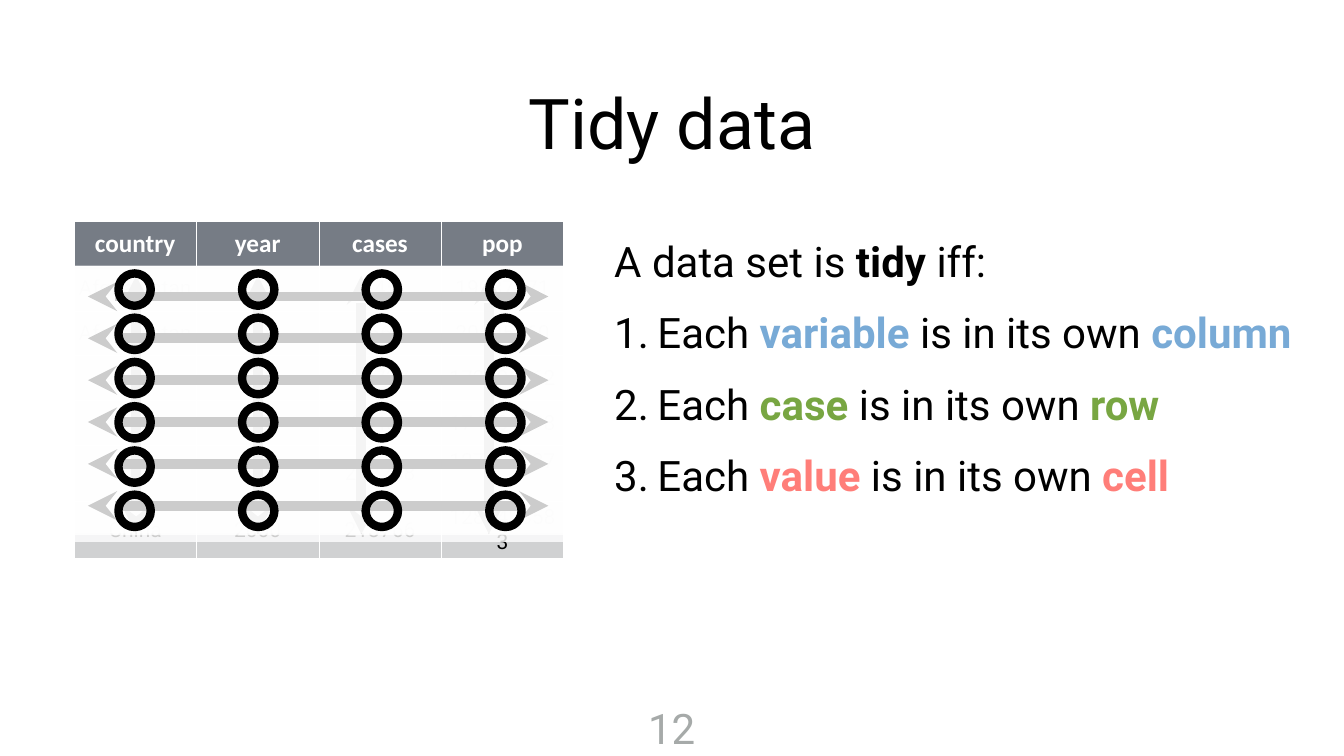
from lxml import etree
from pptx import Presentation
from pptx.dml.color import RGBColor
from pptx.enum.shapes import MSO_CONNECTOR, MSO_SHAPE
from pptx.enum.text import MSO_ANCHOR, MSO_AUTO_SIZE, PP_ALIGN
from pptx.oxml.ns import qn
from pptx.util import Cm, Pt

RECT, OVAL = MSO_SHAPE.RECTANGLE, MSO_SHAPE.OVAL
STRAIGHT = MSO_CONNECTOR.STRAIGHT
TOP, MIDDLE = MSO_ANCHOR.TOP, MSO_ANCHOR.MIDDLE
LEFT, CENTER = PP_ALIGN.LEFT, PP_ALIGN.CENTER
GROW = MSO_AUTO_SIZE.SHAPE_TO_FIT_TEXT
SIDES = ("left", "top", "right", "bottom")
BLACK, WHITE, GREY = "000000", "FFFFFF", "A6AAA9"
HEAD, BODY = "767C85", "D0D1D2"

CASES = [
    ("country", "year", "cases", "pop"),
    ("Afghanistan", "1999", "745", "19987071"),
    ("Afghanistan", "2000", "2666", "20595360"),
    ("Brazil", "1999", "37737", "172006362"),
    ("Brazil", "2000", "80488", "174504898"),
    ("China", "1999", "212258", "1272915272"),
    ("China", "2000", "213766", "1280428583"),
]
RULES = [
    ("variable", "column", "78AAD6"),
    ("case", "row", "78A642"),
    ("value", "cell", "FF7E79"),
]


def tint(code):
    """Turn a hex string into a colour."""
    return RGBColor.from_string(code)


def sub(node, tag, **attrs):
    """Append a DrawingML element."""
    return etree.SubElement(node, qn(f"a:{tag}"), attrs)


class Deck:
    font = "Roboto"

    def __init__(self, wide, high):
        self.show = Presentation()
        self.show.slide_width, self.show.slide_height = Cm(wide), Cm(high)
        self.slide = self.show.slides.add_slide(self.show.slide_layouts[6])

    def run(self, para, text, size, color=BLACK, bold=False, name=None):
        run = para.add_run()
        run.text = text
        look = {"size": Pt(size), "bold": bold, "name": name or self.font}
        for key, value in look.items():
            setattr(run.font, key, value)
        run.font.color.rgb = tint(color)

    def text(self, place, paras, size, align=LEFT, anchor=TOP, pad=0.15, wrap=True):
        """Add paragraphs, each a (numbered, runs) pair; a run is (text, color, bold)."""
        frame = self.slide.shapes.add_textbox(*map(Cm, place)).text_frame
        look = {f"margin_{side}": Cm(pad) for side in SIDES}
        look |= {"word_wrap": wrap, "vertical_anchor": anchor}
        if not wrap:
            look["auto_size"] = GROW
        for key, value in look.items():
            setattr(frame, key, value)
        for index, (numbered, runs) in enumerate(paras):
            para = frame.add_paragraph() if index else frame.paragraphs[0]
            para.alignment = align
            if index:
                para.space_before = Pt(30)
            if numbered:
                props = para._p.get_or_add_pPr()
                props.set("marL", str(Cm(2.18)))
                props.set("indent", str(-Cm(2.18)))
                sub(props, "buAutoNum", type="arabicPeriod")
            for run in runs:
                self.run(para, run[0], size, *run[1:])

    def table(self, left, top, wide, high, rows):
        """Add a grid with equal cells of the given size."""
        down, across = len(rows), len(rows[0])
        grid = self.slide.shapes.add_table(
            down, across, Cm(left), Cm(top), Cm(wide * across), Cm(high * down)
        ).table
        for col in grid.columns:
            col.width = Cm(wide)
        for r, row in enumerate(rows):
            grid.rows[r].height = Cm(high)
            for c, text in enumerate(row):
                self.cell(grid.cell(r, c), text, r == 0)

    def cell(self, cell, text, head):
        look = {f"margin_{side}": Cm(0.15) for side in SIDES}
        look["vertical_anchor"] = MIDDLE
        for key, value in look.items():
            setattr(cell, key, value)
        for edge in ("lnL", "lnR", "lnT", "lnB"):
            rule = sub(cell._tc.get_or_add_tcPr(), edge, w=str(Pt(1)))
            sub(sub(rule, "solidFill"), "srgbClr", val=WHITE)
        cell.fill.solid()
        cell.fill.fore_color.rgb = tint(HEAD if head else BODY)
        para = cell.text_frame.paragraphs[0]
        para.alignment = CENTER
        if head:
            self.run(para, text, 36, WHITE, True, "Calibri")
        else:
            self.run(para, text, 30)

    def layer(self, *place):
        """Start a group on a translucent white veil and return its shapes."""
        group = self.slide.shapes.add_group_shape().shapes
        veil = group.add_shape(RECT, *map(Cm, place))
        veil.shadow.inherit = False
        veil.fill.solid()
        veil.fill.fore_color.rgb = tint(WHITE)
        veil.line.fill.background()
        shade = veil._element.spPr.find(qn("a:solidFill"))[0]
        sub(shade, "alpha", val="80000")
        return group

    def arrow(self, group, *ends):
        link = group.add_connector(STRAIGHT, *map(Cm, ends))
        link.line.width = Pt(14)
        link.line.color.rgb = tint(BLACK)
        props = link._element.spPr
        for end in ("headEnd", "tailEnd"):
            sub(props.find(qn("a:ln")), end, type="stealth")
        sub(props, "effectLst")

    def ring(self, group, left, top, size):
        ring = group.add_shape(OVAL, *map(Cm, (left, top, size, size)))
        ring.shadow.inherit = False
        ring.fill.background()
        ring.line.width = Pt(12)
        ring.line.color.rgb = tint(BLACK)


def main():
    deck = Deck(67.74, 38.1)
    deck.text((11.13, 2.79, 45.47, 6.65), [(False, [("Tidy data",)])], 100, CENTER, MIDDLE)
    deck.table(3.73, 11.15, 6.17, 2.26, CASES)

    paras = [(False, [("A data set is ",), ("tidy", BLACK, True), (" iff:",)])]
    for thing, home, color in RULES:
        runs = [("Each ",), (thing, color, True), (" is in its own ",), (home, color, True)]
        paras.append((True, runs))
    deck.text((30.81, 11.71, 34.75, 14.66), paras, 60)

    columns = deck.layer(3.4, 13.54, 25.02, 13.77)
    for x in (6.86, 18.21, 24.64, 13):
        deck.arrow(columns, x, 26.92, x, 13.89)

    rows = deck.layer(3.71, 13.46, 24.77, 13.51)
    for i in range(6):
        y = 14.94 + 2.11 * i
        deck.arrow(rows, 4.43, y, 27.64, y)

    deck.text((32.46, 35.18, 2.79, 2.95), [(False, [("12", GREY)])], 60, CENTER, pad=0.2, wrap=False)

    cells = deck.layer(3.71, 13.39, 24.77, 13.51)
    for col in range(4):
        for row in range(6):
            deck.ring(cells, 5.97 + 6.23 * col, 13.78 + 2.23 * row, 1.63)

    deck.show.save("out.pptx")


if __name__ == "__main__":
    main()
